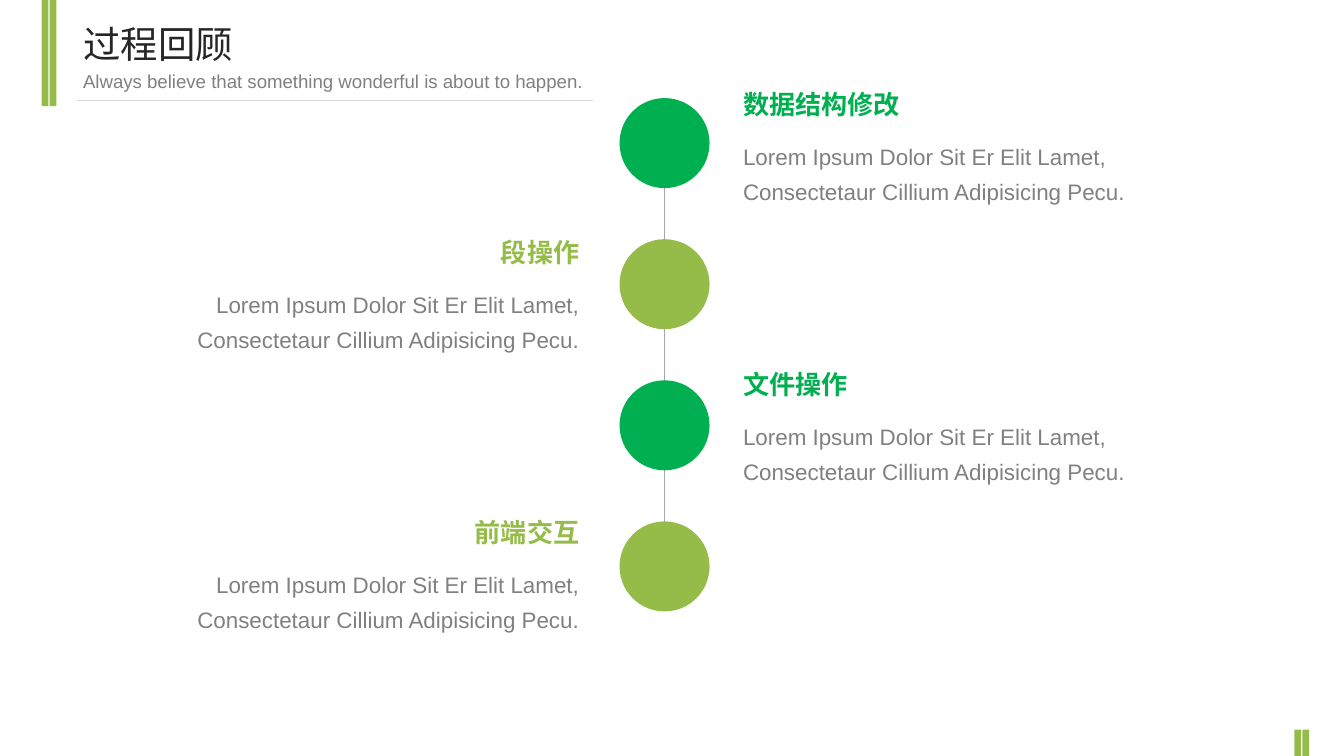
from lxml import etree
from pptx import Presentation
from pptx.dml.color import RGBColor
from pptx.enum.shapes import MSO_CONNECTOR, MSO_SHAPE
from pptx.enum.text import MSO_ANCHOR, PP_ALIGN
from pptx.oxml.ns import qn
from pptx.util import Inches, Pt

LEFT, RIGHT = PP_ALIGN.LEFT, PP_ALIGN.RIGHT
TOP = MSO_ANCHOR.TOP
RECT, OVAL = MSO_SHAPE.RECTANGLE, MSO_SHAPE.OVAL
STRAIGHT = MSO_CONNECTOR.STRAIGHT

COLORS = {"green": "00B050", "lime": "95BC49", "ink": "262626",
          "text": "808080", "rule": "D9D9D9", "axis": "A6A6A6"}
CJK = "Noto Sans CJK SC"
BODY = "Lorem Ipsum Dolor Sit Er Elit Lamet, Consectetaur Cillium Adipisicing Pecu."
# Heading, colour, top of the text, side of the axis
STEPS = [("数据结构修改", "green", 0.61, LEFT),
         ("段操作", "lime", 1.71, RIGHT),
         ("文件操作", "green", 2.69, LEFT),
         ("前端交互", "lime", 3.79, RIGHT)]


def rgb(name):
    return RGBColor.from_string(COLORS[name])


def add_text(slide, text, box, size=12, color="text", font="Arial", bold=False,
             align=LEFT, spacing=1.0, before=0, shape=None):
    """Write text in a new text box, or in the given placeholder."""
    x, y, w, h = map(Inches, box)
    shape = shape or slide.shapes.add_textbox(x, y, w, h)
    shape.left, shape.top, shape.width, shape.height = x, y, w, h
    frame = shape.text_frame
    frame.word_wrap = True
    frame.vertical_anchor = TOP
    para = frame.paragraphs[0]
    para.alignment = align
    para.line_spacing = spacing
    para.space_before = Pt(before)
    run = para.add_run()
    run.text = text
    run.font.size = Pt(size)
    run.font.bold = bold
    run.font.color.rgb = rgb(color)
    run.font.name = font
    etree.SubElement(run.font._element, qn("a:ea")).set("typeface", CJK)


def add_form(slide, kind, box, color):
    form = slide.shapes.add_shape(kind, *map(Inches, box))
    form.shadow.inherit = False
    form.fill.solid()
    form.fill.fore_color.rgb = rgb(color)
    form.line.fill.background()


def add_line(slide, start, end, color):
    line = slide.shapes.add_connector(STRAIGHT, *map(Inches, start + end))
    line.line.color.rgb = rgb(color)
    line.line.width = Pt(0.75)
    etree.SubElement(line._element.spPr, qn("a:effectLst"))


def add_bars(slide, x, y, h):
    """Pair of narrow upright bars."""
    for i in range(2):
        add_form(slide, RECT, (x + i * 0.06, y, 0.05, h), "lime")


def add_header(slide, x, y, w):
    add_line(slide, (x + 0.05, y + 0.64), (x + 3.89, y + 0.64), "rule")
    add_text(slide, "过程回顾", (x, y, w, 0.44), size=20, color="ink",
             font="Arial Narrow", shape=slide.shapes.title)
    add_text(slide, "Always believe that something wonderful is about to happen.",
             (x, y + 0.36, w, 0.27), size=10)


def add_step(slide, x, y, w, head, color, align):
    """Heading with a paragraph below it."""
    add_text(slide, head, (x, y, w, 0.34), size=14, color=color,
             font=CJK, bold=True, align=align)
    add_text(slide, BODY, (x, y + 0.35, w, 0.63), align=align,
             spacing=1.3, before=6)


def add_timeline(slide, x, y, size=0.67, pitch=1.05):
    """Axis with evenly spaced dots and texts on alternate sides."""
    mid = x + size / 2
    add_line(slide, (mid, y + 0.39), (mid, y + 3.54), "axis")
    for i, (head, color, top, align) in enumerate(STEPS):
        add_form(slide, OVAL, (x, y + i * pitch, size, size), color)
        side = x + 0.82 if align == LEFT else x - 3.39
        add_step(slide, side, top, 3.19, head, color, align)


def main():
    deck = Presentation()
    # Widescreen, 16 to 9
    deck.slide_width = Inches(10)
    deck.slide_height = Inches(10 * 9 / 16)
    slide = deck.slides.add_slide(deck.slide_layouts[5])
    # Corner bars
    add_bars(slide, 0.31, 0, 0.79)
    add_bars(slide, 9.63, 5.43, 0.2)
    # Title and process
    add_header(slide, 0.52, 0.11, 4.23)
    add_timeline(slide, 4.61, 0.73)
    deck.save("out.pptx")


if __name__ == "__main__":
    main()
